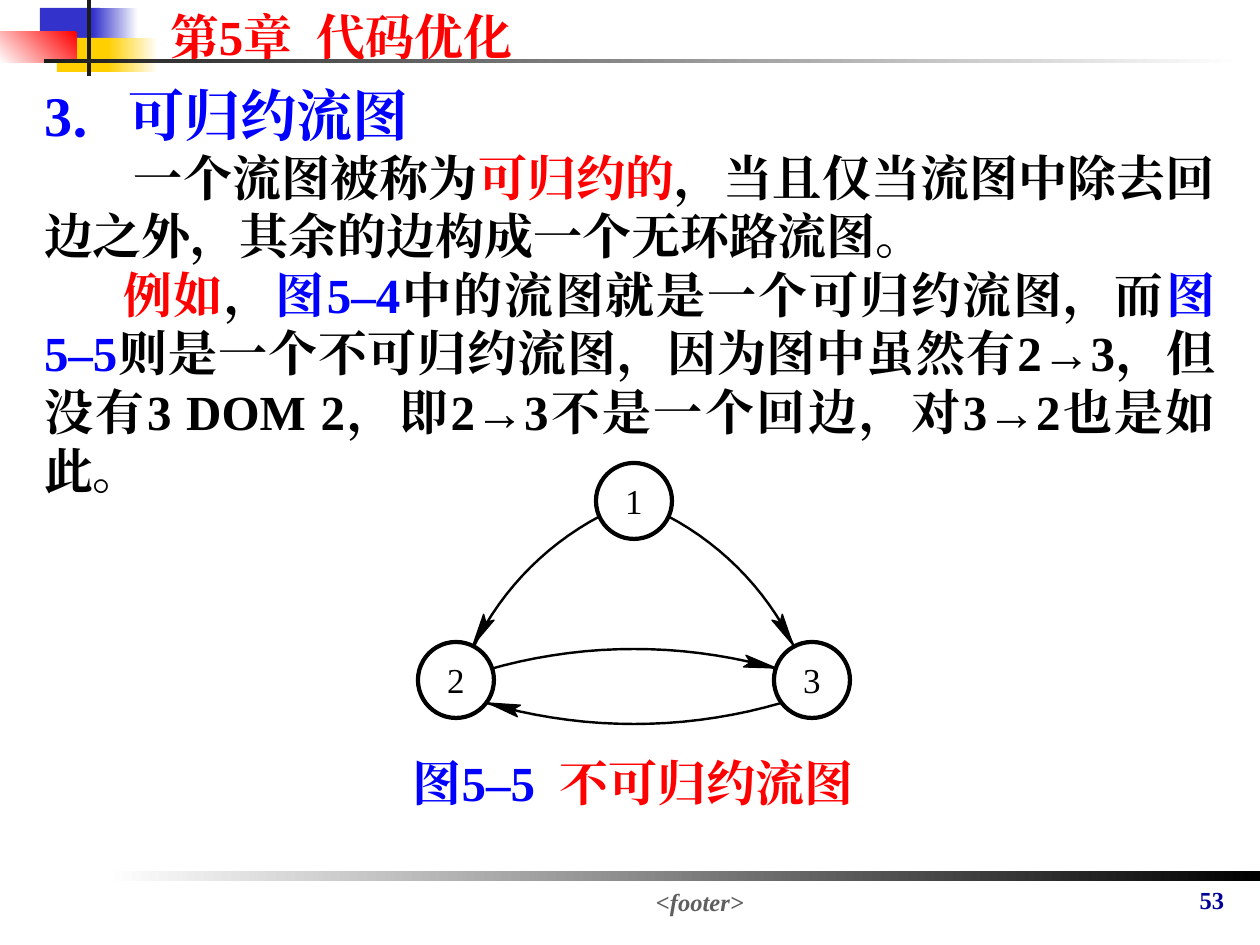
from dataclasses import dataclass
from math import asin, cos, hypot, sin

from lxml import etree
from pptx import Presentation
from pptx.dml.color import RGBColor
from pptx.enum.shapes import MSO_SHAPE
from pptx.enum.text import MSO_ANCHOR, MSO_AUTO_SIZE, PP_ALIGN
from pptx.oxml.ns import qn
from pptx.util import Pt

LEFT, MID, JUST = PP_ALIGN.LEFT, PP_ALIGN.CENTER, PP_ALIGN.JUSTIFY
TOP, CENTER = MSO_ANCHOR.TOP, MSO_ANCHOR.MIDDLE
RECT, OVAL = MSO_SHAPE.RECTANGLE, MSO_SHAPE.OVAL
FIXED = MSO_AUTO_SIZE.NONE
SCALE = 914400 / 126


@dataclass(frozen=True)
class Theme:
    font: str = "Times New Roman"
    black: str = "000000"
    white: str = "FFFFFF"
    red: str = "FF0000"
    blue: str = "0000FF"
    navy: str = "000099"
    gray: str = "5F5F5F"
    dark: str = "1C1C1C"
    indigo: str = "3333CC"
    gold: str = "FFCF01"
    head: int = 32
    main: int = 28
    node: int = 20
    small: int = 14


THEME = Theme()


def px(n):
    return round(n * SCALE)


def rgb(code):
    return RGBColor.from_string(code)


def place(shape, x, y, w, h):
    shape.left, shape.top, shape.width, shape.height = map(px, (x, y, w, h))


def setup(frame, pad=(13, 6), anchor=TOP, wrap=True):
    frame.word_wrap = wrap
    frame.auto_size = FIXED
    frame.vertical_anchor = anchor
    frame.margin_left = frame.margin_right = px(pad[0])
    frame.margin_top = frame.margin_bottom = px(pad[1])


def write(para, runs, size=THEME.main, bold=True, italic=False,
          align=LEFT, pitch=None, indent=0):
    props = para._p.get_or_add_pPr()
    props.set("marL", "0")
    props.set("indent", str(px(indent)))
    etree.SubElement(props, qn("a:buNone"))
    para.alignment = align
    para.space_before = para.space_after = Pt(0)
    para.line_spacing = Pt(pitch) if pitch else 1.0
    for text, color in runs:
        run = para.add_run()
        run.text = text
        font = run.font
        font.name, font.size = THEME.font, Pt(size)
        font.bold, font.italic = bold, italic
        font.color.rgb = rgb(color)
        mark = run._r.get_or_add_rPr()
        mark.set("lang", "zh-CN")
        etree.SubElement(mark, qn("a:ea"), typeface=THEME.font)


def label(slide, box, runs, **fmt):
    frame = slide.shapes.add_textbox(*map(px, box)).text_frame
    setup(frame)
    write(frame.paragraphs[0], runs, **fmt)


def block(slide, box, first, last=None, angle=0):
    shape = slide.shapes.add_shape(RECT, *map(px, box))
    shape.shadow.inherit = False
    shape.line.fill.background()
    if last is None:
        shape.fill.solid()
        shape.fill.fore_color.rgb = rgb(first)
        return
    shape.fill.gradient()
    shape.fill.gradient_angle = angle
    for stop, color in zip(shape.fill.gradient_stops, (first, last)):
        stop.color.rgb = rgb(color)


def trace(slide, points, width, close=False):
    spots = [(px(x), px(y)) for x, y in points]
    pen = slide.shapes.build_freeform(*spots[0])
    pen.add_line_segments(spots[1:], close=close)
    shape = pen.convert_to_shape()
    shape.shadow.inherit = False
    shape.line.color.rgb = rgb(THEME.black)
    shape.line.width = Pt(width)
    if close:
        shape.fill.solid()
        shape.fill.fore_color.rgb = rgb(THEME.black)
    else:
        shape.fill.background()


def arc(slide, start, end, rise=31, steps=22):
    (ax, ay), (bx, by) = start, end
    chord = hypot(bx - ax, by - ay)
    ux, uy = (bx - ax) / chord, (by - ay) / chord
    radius = (chord ** 2 / 4 + rise ** 2) / (2 * rise)
    half = asin(chord / 2 / radius)
    points = []
    for i in range(steps + 1):
        turn = half * (2 * i / steps - 1)
        along = chord / 2 + radius * sin(turn)
        out = radius * cos(turn) - radius + rise
        points.append((ax + ux * along + uy * out, ay + uy * along - ux * out))
    trace(slide, points, 1.4)


def dart(slide, tip, aim, long=32, notch=26, half=6):
    x, y = tip
    size = hypot(*aim)
    ux, uy = aim[0] / size, aim[1] / size
    shape = [(0, 0), (long, half), (notch, 0), (long, -half)]
    trace(slide, [(x - ux * b - uy * s, y - uy * b + ux * s)
                  for b, s in shape], 0.75, True)


def node(slide, text, spot, radius=38):
    x, y = spot
    side = 2 * radius
    shape = slide.shapes.add_shape(
        OVAL, *map(px, (x - radius, y - radius, side, side)))
    shape.shadow.inherit = False
    shape.fill.solid()
    shape.fill.fore_color.rgb = rgb(THEME.white)
    shape.line.color.rgb = rgb(THEME.black)
    shape.line.width = Pt(2.4)
    setup(shape.text_frame, (0, 0), CENTER, False)
    write(shape.text_frame.paragraphs[0], [(text, THEME.black)],
          size=THEME.node, bold=False, align=MID)


def frame_art(slide):
    t = THEME
    block(slide, (105, 871, 1155, 10), t.white, t.black)
    block(slide, (40, 8, 60, 34), t.indigo)
    block(slide, (93, 8, 45, 34), t.indigo, t.white)
    block(slide, (57, 38, 58, 34), t.gold)
    block(slide, (108, 38, 50, 34), t.gold, t.white)
    block(slide, (0, 32, 77, 31), t.red, t.white, 225)
    block(slide, (87, 0, 4, 76), t.dark)
    block(slide, (44, 59, 1198, 4), t.dark, t.white)


def prose(slide):
    t = THEME
    title, body = slide.placeholders
    place(title, 157, 0, 393, 72)
    setup(title.text_frame)
    write(title.text_frame.paragraphs[0], [("第5章  代码优化", t.red)])
    place(body, 31, 73, 1197, 441)
    frame = body.text_frame
    setup(frame)
    write(frame.paragraphs[0], [("3．可归约流图", t.blue)],
          size=t.head, align=JUST, pitch=39)
    write(frame.add_paragraph(), [
        ("一个流图被称为", t.black), ("可归约的", t.red),
        ("，当且仅当流图中除去回边之外，其余的边构成一个无环路流图。", t.black),
    ], align=JUST, pitch=33.5, indent=90)
    write(frame.add_paragraph(), [
        ("例如", t.red), ("，", t.black), ("图5–4", t.blue),
        ("中的流图就是一个可归约流图，而", t.black), ("图5–5", t.blue),
        ("则是一个不可归约流图，因为图中虽然有2→3，但没有3 DOM 2，"
         "即2→3不是一个回边，对3→2也是如此。", t.black),
    ], align=JUST, pitch=33.5, indent=79)


def graph(slide):
    one, two, three = (634, 501), (456, 680), (812, 680)
    low = 693
    arc(slide, (812, low), (456, low))
    arc(slide, two, three)
    arc(slide, one, (812, low))
    arc(slide, (456, low), one)
    for text, spot in zip("123", (one, two, three)):
        node(slide, text, spot)
    dart(slide, (473, 645), (-16, 28))
    dart(slide, (793, 645), (16, 28))
    dart(slide, (776, 668), (32, 7))
    dart(slide, (488, 703), (-31, -8))


def main():
    t = THEME
    deck = Presentation()
    deck.slide_width, deck.slide_height = px(1260), px(945)
    slide = deck.slides.add_slide(deck.slide_layouts[1])
    frame_art(slide)
    prose(slide)
    graph(slide)
    label(slide, (397, 747, 472, 131),
          [("图5–5  ", t.blue), ("不可归约流图", t.red)], align=MID, pitch=33.5)
    label(slide, (233, 881, 934, 33), [("<footer>", t.gray)],
          size=t.small, italic=True, align=MID)
    label(slide, (1175, 879, 74, 43), [("53", t.navy)],
          size=t.small, align=MID)
    deck.save("out.pptx")


if __name__ == "__main__":
    main()
